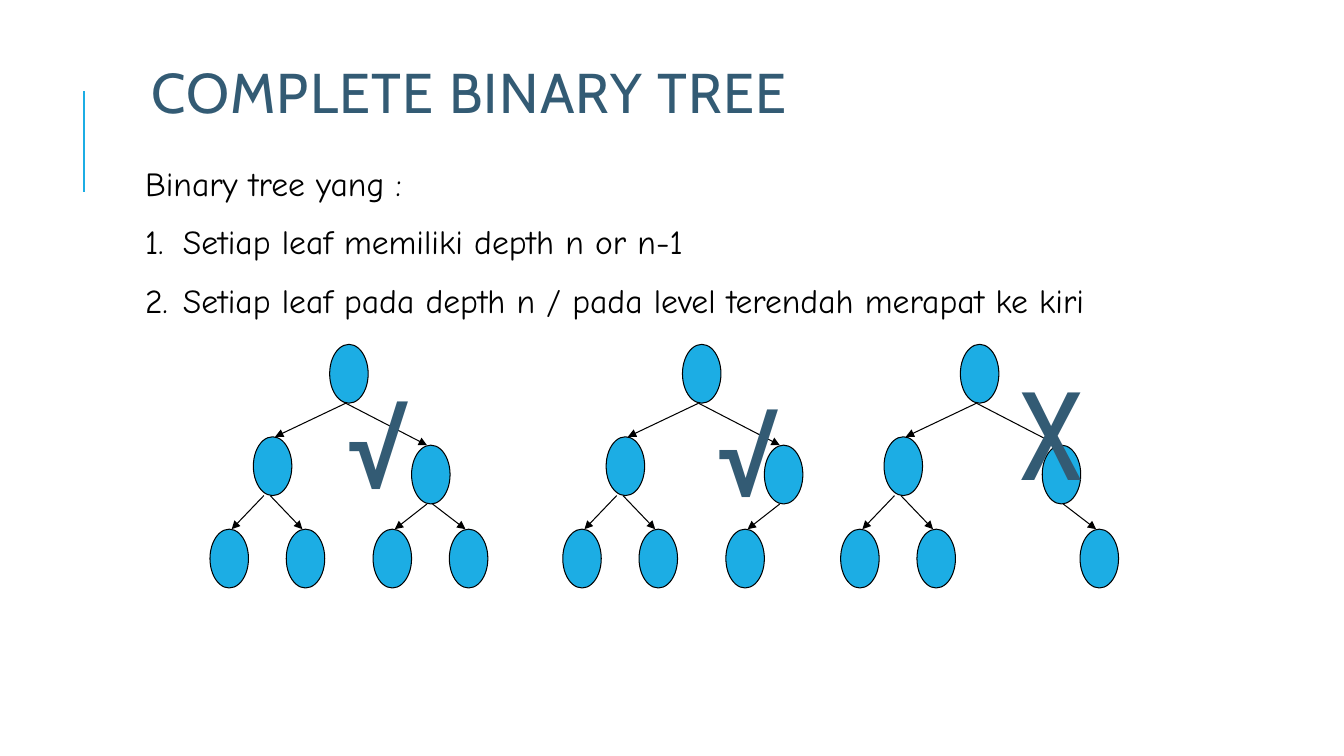
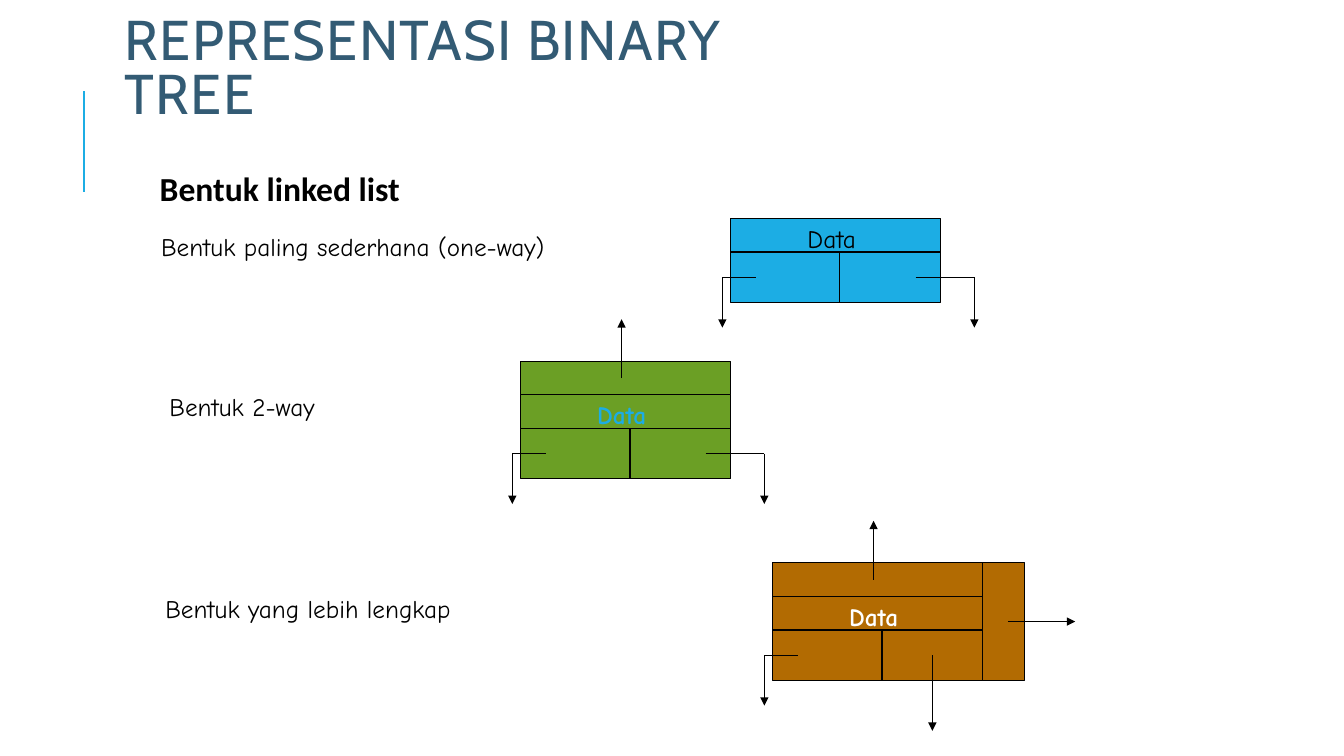
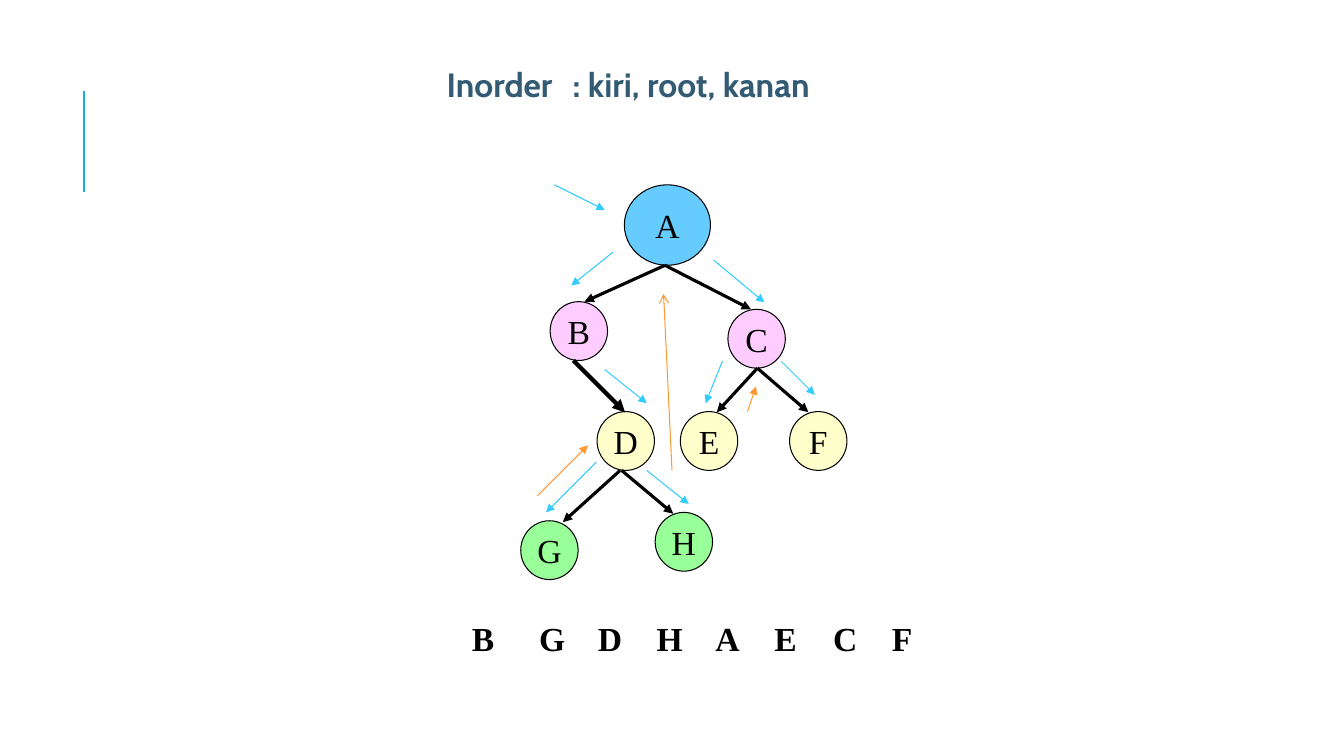
from dataclasses import dataclass
from itertools import pairwise

from pptx import Presentation
from pptx import util as u
from pptx.dml.color import RGBColor
from pptx.enum import shapes, text
from pptx.oxml.ns import qn
from lxml import etree


@dataclass(frozen=True)
class Theme:
    ink: str = "000000"
    white: str = "FFFFFF"
    title: str = "335B74"
    accent: str = "1CADE4"
    green: str = "6B9F25"
    brown: str = "B26B02"
    root: str = "66CCFF"
    pink: str = "FFCCFF"
    cream: str = "FFFFCC"
    mint: str = "99FF99"
    down: str = "33CCFF"
    back: str = "FF9933"
    title_font: str = "Cabin"
    body_font: str = "Comic Neue"
    heading_font: str = "Calibri"
    mark_font: str = "Roboto Condensed"
    node_font: str = "Times New Roman"
    title_size: int = 40
    body_size: int = 24
    label_size: int = 18
    mark_size: int = 88
    thin: float = 0.75
    rule: float = 1.5
    thick: float = 2.25
    heavy: float = 3


THEME = Theme()
RECT = shapes.MSO_SHAPE.RECTANGLE
OVAL = shapes.MSO_SHAPE.OVAL
CENTER = text.PP_ALIGN.CENTER


def add_xml(parent, tag, **values):
    return etree.SubElement(parent, qn(tag), values)


class Sheet:
    def __init__(self, deck):
        self.deck = deck
        self.page = None
        self.layer = None

    def new_page(self):
        self.page = self.deck.slides.add_slide(self.deck.slide_layouts[6])
        self.end_group()
        self.line((60, 137), (60, 65), THEME.accent, THEME.rule)

    def start_group(self):
        self.layer = self.page.shapes.add_group_shape().shapes

    def end_group(self):
        self.layer = self.page.shapes

    def style(self, para, font, size, color, bold=False):
        for span in para.runs:
            span.font.name = font
            span.font.size = u.Pt(size)
            span.font.bold = bold
            span.font.color.rgb = RGBColor.from_string(color)

    def text(self, words, place, font=THEME.body_font, size=THEME.label_size,
             color=THEME.ink, bold=False, align=None):
        box = self.layer.add_textbox(*map(u.Pt, place))
        frame = box.text_frame
        frame.word_wrap = True
        frame.text = words
        for para in frame.paragraphs:
            para.alignment = align
            self.style(para, font, size, color, bold)
        return frame

    def title(self, words, place):
        frame = self.text(words, place, THEME.title_font, THEME.title_size, THEME.title)
        frame.vertical_anchor = text.MSO_ANCHOR.BOTTOM
        para = frame.paragraphs[0]
        para.line_spacing = 0.8
        para.runs[0]._r.get_or_add_rPr().set("spc", "100")

    def numbered(self, intro, items, place, indent=27, gap=13):
        frame = self.text("\n".join([intro, *items]), place, size=THEME.body_size)
        for index, para in enumerate(frame.paragraphs):
            props = para._p.get_or_add_pPr()
            props.set("marL", str(u.Pt(indent)))
            props.set("indent", str(u.Pt(-indent)))
            if index:
                para.space_before = u.Pt(gap)
                add_xml(props, "a:buAutoNum", type="arabicPeriod")

    def tab_stop(self, para, distance):
        stops = add_xml(para._p.get_or_add_pPr(), "a:tabLst")
        add_xml(stops, "a:tab", pos=str(u.Pt(distance)), algn="l")

    def shape(self, kind, place, fill, words=""):
        box = self.layer.add_shape(kind, *map(u.Pt, place))
        box.shadow.inherit = False
        box.fill.solid()
        box.fill.fore_color.rgb = RGBColor.from_string(fill)
        box.line.color.rgb = RGBColor.from_string(THEME.ink)
        box.line.width = u.Pt(THEME.thin)
        if words:
            frame = box.text_frame
            frame.word_wrap = False
            frame.vertical_anchor = text.MSO_ANCHOR.MIDDLE
            frame.text = words
            para = frame.paragraphs[0]
            para.alignment = CENTER
            self.style(para, THEME.node_font, THEME.body_size, THEME.ink)

    def line(self, start, end, color=THEME.ink, width=THEME.thin, head=None):
        link = self.layer.add_connector(
            shapes.MSO_CONNECTOR.STRAIGHT, *map(u.Pt, (*start, *end)))
        link.line.color.rgb = RGBColor.from_string(color)
        link.line.width = u.Pt(width)
        if head:
            add_xml(link.line._get_or_add_ln(), "a:tailEnd", type=head)
        add_xml(link._element.spPr, "a:effectLst")

    def arrow(self, points, color=THEME.ink, width=THEME.thin, head="triangle"):
        legs = list(pairwise(points))
        for start, end in legs[:-1]:
            self.line(start, end, color, width)
        self.line(*legs[-1], color, width, head)


def draw_tree(sheet, left, leaves):
    inner = [(85.5, 246), (31, 312), (144, 318)]
    branches = [((97, 288), (46.5, 312)), ((97, 288), (155, 318))]
    leaf_links = {
        0: ((38.5, 354), (15.5, 378)),
        54.5: ((43, 354), (66, 378)),
        116.5: ((155, 360), (132, 378)),
        171: ((159, 360), (182.5, 378)),
    }
    sheet.start_group()
    for x, y in inner + [(leaf, 378) for leaf in leaves]:
        sheet.shape(OVAL, (left + x, y, 27.5, 42), THEME.accent)
    for link in branches + [leaf_links[leaf] for leaf in leaves]:
        sheet.arrow([(left + x, y) for x, y in link])
    sheet.end_group()


def draw_record(sheet, left, top, fill, color, parent=False, sibling=False):
    def at(*points):
        return [(left + x, top + y) for x, y in points]

    sheet.start_group()
    sheet.shape(RECT, (left, top, 150, 60), fill)
    sheet.line(*at((0, 24), (150, 24)))
    sheet.line(*at((78, 24), (78, 60)))
    sheet.arrow(at((18, 42), (-6, 42), (-6, 78)))
    if sibling:
        sheet.arrow(at((114, 42), (114, 96)))
        sheet.shape(RECT, (left + 150, top - 24, 30, 84), fill)
        sheet.arrow(at((168, 18), (216, 18)))
    else:
        sheet.arrow(at((132, 42), (174, 42), (174, 78)))
    if parent:
        sheet.shape(RECT, (left, top - 24, 150, 24), fill)
        sheet.arrow(at((72, -12), (72, -54)))
    sheet.text("Data", (left + 24, top, 96, 29), color=color, bold=parent, align=CENTER)
    sheet.end_group()


def complete_tree_page(sheet):
    sheet.new_page()
    sheet.title("COMPLETE BINARY TREE", (101, 49, 580, 43))
    sheet.numbered(
        "Binary tree yang :",
        ["Setiap leaf memiliki depth n or n-1",
         "Setiap leaf pada depth n / pada level terendah merapat ke kiri"],
        (96.5, 112.5, 758, 124))
    draw_tree(sheet, 150, [0, 54.5, 116.5, 171])
    draw_tree(sheet, 402, [0, 54.5, 116.5])
    draw_tree(sheet, 600.5, [0, 54.5, 171])
    for mark, left, top in [("√", 240, 258), ("√", 504, 264), ("X", 720, 252)]:
        sheet.text(mark, (left, top, 120, 113), THEME.mark_font,
                   THEME.mark_size, THEME.title)


def linked_list_page(sheet):
    sheet.new_page()
    sheet.title("REPRESENTASI BINARY TREE", (82, 50, 524, 43))
    heading = sheet.text("Bentuk linked list", (107, 120, 580, 36),
                         THEME.heading_font, THEME.body_size, bold=True)
    heading.paragraphs[0].line_spacing = 0.9
    for words, left, top in [
        ("Bentuk paling sederhana (one-way)", 108, 162),
        ("Bentuk 2-way", 114, 276),
        ("Bentuk yang lebih lengkap", 111, 420),
    ]:
        sheet.text(words, (left, top, 308, 29))
    draw_record(sheet, 522, 156, THEME.accent, THEME.ink)
    draw_record(sheet, 372, 282, THEME.green, THEME.accent, parent=True)
    draw_record(sheet, 552, 426, THEME.brown, THEME.white, parent=True, sibling=True)


def inorder_page(sheet):
    sheet.new_page()
    nodes = [
        ("B", 393, 215.5, THEME.pink), ("C", 520, 221, THEME.pink),
        ("D", 426.5, 294, THEME.cream), ("E", 486, 294, THEME.cream),
        ("F", 564, 294, THEME.cream), ("G", 372, 372, THEME.mint),
        ("H", 468, 366, THEME.mint),
    ]
    branches = [
        ((475, 189.5), (417.5, 215.5)), ((475, 189.5), (536.5, 221)),
        ((443, 336), (402, 373)), ((444, 336), (481, 367)),
        ((541, 263), (512, 294.5)), ((541, 263), (577.5, 294.5)),
    ]
    visits = [
        ((396, 132), (432, 150)), ((438, 180), (408, 204)),
        ((432, 264), (462, 288)), ((426, 330), (390, 366)),
        ((510, 186), (546, 216)), ((516, 258), (504, 288)),
        ((462, 336), (492, 360)), ((558, 258), (582, 282)),
    ]
    returns = [
        ((384, 354), (420, 318), "triangle"),
        ((480, 336), (474, 210), "arrow"),
        ((534, 294), (540, 276), "triangle"),
    ]
    sheet.start_group()
    sheet.shape(OVAL, (446, 132, 61.5, 57.5), THEME.root, "A")
    for name, left, top, fill in nodes:
        sheet.shape(OVAL, (left, top, 41, 42), fill, name)
    for branch in branches:
        sheet.arrow(branch, width=THEME.thick)
    sheet.arrow([(409.5, 257.5), (446.5, 294.5)], width=THEME.heavy)
    sheet.end_group()
    for visit in visits:
        sheet.arrow(visit, THEME.down)
    for start, end, head in returns:
        sheet.arrow([start, end], THEME.back, head=head)
    order = sheet.text("Inorder\t: kiri, root, kanan", (312, 42, 366, 36),
                       THEME.title_font, THEME.body_size, THEME.title, bold=True)
    sheet.tab_stop(order.paragraphs[0], 90)
    lefts = [330] + [378 + 42 * step for step in range(7)]
    for name, left in zip("BGDHAECF", lefts):
        sheet.text(name, (left, 438, 36, 36), THEME.node_font,
                   THEME.body_size, bold=True)


def main():
    deck = Presentation()
    deck.slide_width = u.Pt(960)
    deck.slide_height = u.Pt(540)
    sheet = Sheet(deck)
    complete_tree_page(sheet)
    linked_list_page(sheet)
    inorder_page(sheet)
    deck.save("out.pptx")


if __name__ == "__main__":
    main()
